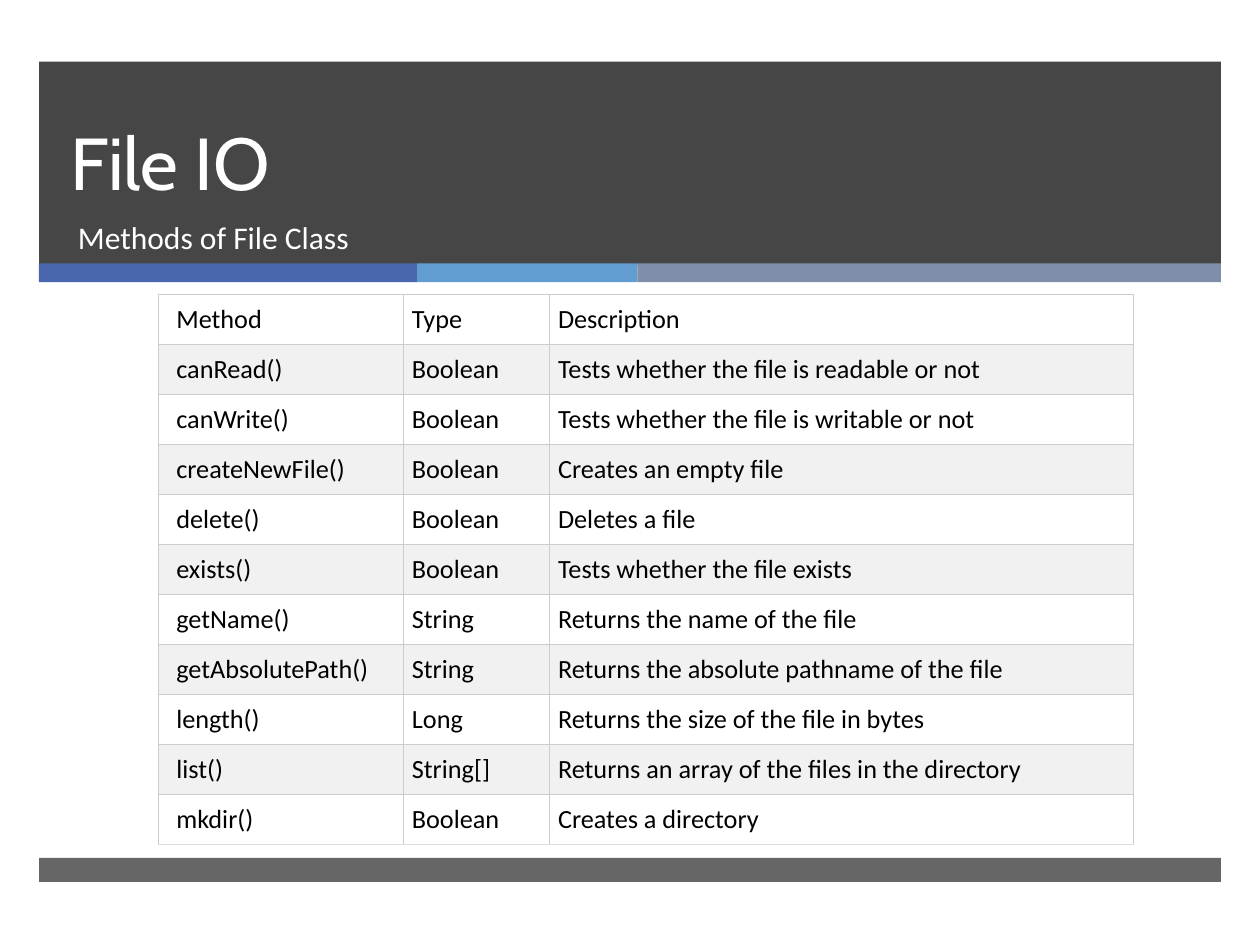
from lxml import etree
from pptx import Presentation
from pptx.dml.color import RGBColor
from pptx.enum.shapes import MSO_SHAPE
from pptx.enum.text import MSO_ANCHOR
from pptx.oxml.ns import qn
from pptx.util import Inches, Pt

RECT = MSO_SHAPE.RECTANGLE
TOP, BOTTOM = MSO_ANCHOR.TOP, MSO_ANCHOR.BOTTOM
W, H = Inches(10), Inches(7.5)
COLORS = {
    "dark": "262626", "blue": "4A66AC", "sky": "629DD1", "slate": "7F8FA9",
    "white": "FFFFFF", "band": "F1F1F1", "text": "000000",
    "border": "CCCCCC", "last": "DDDDDD",
}
LEFT, WIDTH = 3.1, 93.8
STRIPES = [("blue", 30), ("sky", 17.5), ("slate", 46.3)]
COLUMNS = [19.4, 11.6, 46.4]
ROW = 5.29
METHODS = [
    ("Method", "Type", "Description"),
    ("canRead()", "Boolean", "Tests whether the file is readable or not"),
    ("canWrite()", "Boolean", "Tests whether the file is writable or not"),
    ("createNewFile()", "Boolean", "Creates an empty file"),
    ("delete()", "Boolean", "Deletes a file"),
    ("exists()", "Boolean", "Tests whether the file exists"),
    ("getName()", "String", "Returns the name of the file"),
    ("getAbsolutePath()", "String", "Returns the absolute pathname of the file"),
    ("length()", "Long", "Returns the size of the file in bytes"),
    ("list()", "String[]", "Returns an array of the files in the directory"),
    ("mkdir()", "Boolean", "Creates a directory"),
]


def rgb(name):
    """Return the named colour."""
    return RGBColor.from_string(COLORS[name])


def box(x, y, w, h):
    """Turn percentages of the slide into a position and size."""
    return [int(side * share / 100) for side, share in zip((W, H, W, H), (x, y, w, h))]


def set_font(p, name, size, color):
    """Set the font of a paragraph."""
    p.font.name, p.font.size = name, Pt(size)
    p.font.color.rgb = rgb(color)


def add_bar(s, place, color, alpha=100):
    """Add a plain rectangle with an opacity in percent."""
    sp = s.shapes.add_shape(RECT, *box(*place))
    sp.shadow.inherit = False
    sp.fill.solid()
    sp.fill.fore_color.rgb = rgb(color)
    sp.line.fill.background()
    if alpha < 100:
        clr = sp.fill._xPr.find(".//" + qn("a:srgbClr"))
        etree.SubElement(clr, qn("a:alpha")).set("val", str(alpha * 1000))


def add_text(s, place, text, font, size, anchor, spacing=None):
    """Add one line of white text."""
    tf = s.shapes.add_textbox(*box(*place)).text_frame
    tf.word_wrap, tf.vertical_anchor = True, anchor
    p = tf.paragraphs[0]
    p.text = text
    set_font(p, font, size, "white")
    if spacing:
        p.line_spacing = Pt(spacing)


def set_borders(cell, bottom):
    """Draw the four borders of a cell, ahead of its fill."""
    tcPr = cell._tc.get_or_add_tcPr()
    for i, side in enumerate("LRTB"):
        ln = etree.Element(qn("a:ln" + side), w=str(Pt(0.75)))
        fill = etree.SubElement(ln, qn("a:solidFill"))
        color = bottom if side == "B" else "border"
        etree.SubElement(fill, qn("a:srgbClr")).set("val", COLORS[color])
        tcPr.insert(i, ln)


def add_methods_table(s, x, y):
    """Add the banded table of methods."""
    place = box(x, y, sum(COLUMNS), ROW * len(METHODS))
    table = s.shapes.add_table(len(METHODS), len(COLUMNS), *place).table
    for column, share in zip(table.columns, COLUMNS):
        column.width = int(W * share / 100)
    for i, values in enumerate(METHODS):
        table.rows[i].height = int(H * ROW / 100)
        for j, value in enumerate(values):
            cell = table.cell(i, j)
            cell.fill.solid()
            cell.fill.fore_color.rgb = rgb("band" if i % 2 else "white")
            cell.margin_left = Inches(0.07 if j else 0.14)
            cell.margin_right = cell.margin_top = cell.margin_bottom = Inches(0.07)
            p = cell.text_frame.paragraphs[0]
            p.text = value
            set_font(p, "Calibri", 15, "text")
            p.font.bold = False
            set_borders(cell, "last" if i == len(METHODS) - 1 else "border")


def main():
    """Build and save the slide."""
    prs = Presentation()
    prs.slide_width, prs.slide_height = W, H
    s = prs.slides.add_slide(prs.slide_layouts[6])
    add_bar(s, (LEFT, 6.53, WIDTH, 21.47), "dark", 85)
    x = LEFT
    for color, width in STRIPES:
        add_bar(s, (x, 27.87, width, 2), color)
        x += width
    add_bar(s, (LEFT, 90.8, WIDTH, 2.53), "dark", 70)
    add_text(s, (4.6, 6.53, 85.4, 15.87), "File IO", "Cabin", 42, BOTTOM, 46)
    add_text(s, (5.2, 22.4, 84.8, 7.07), "Methods of File Class", "Calibri", 18, TOP)
    add_methods_table(s, 12.6, 31.2)
    prs.save("out.pptx")


main()
